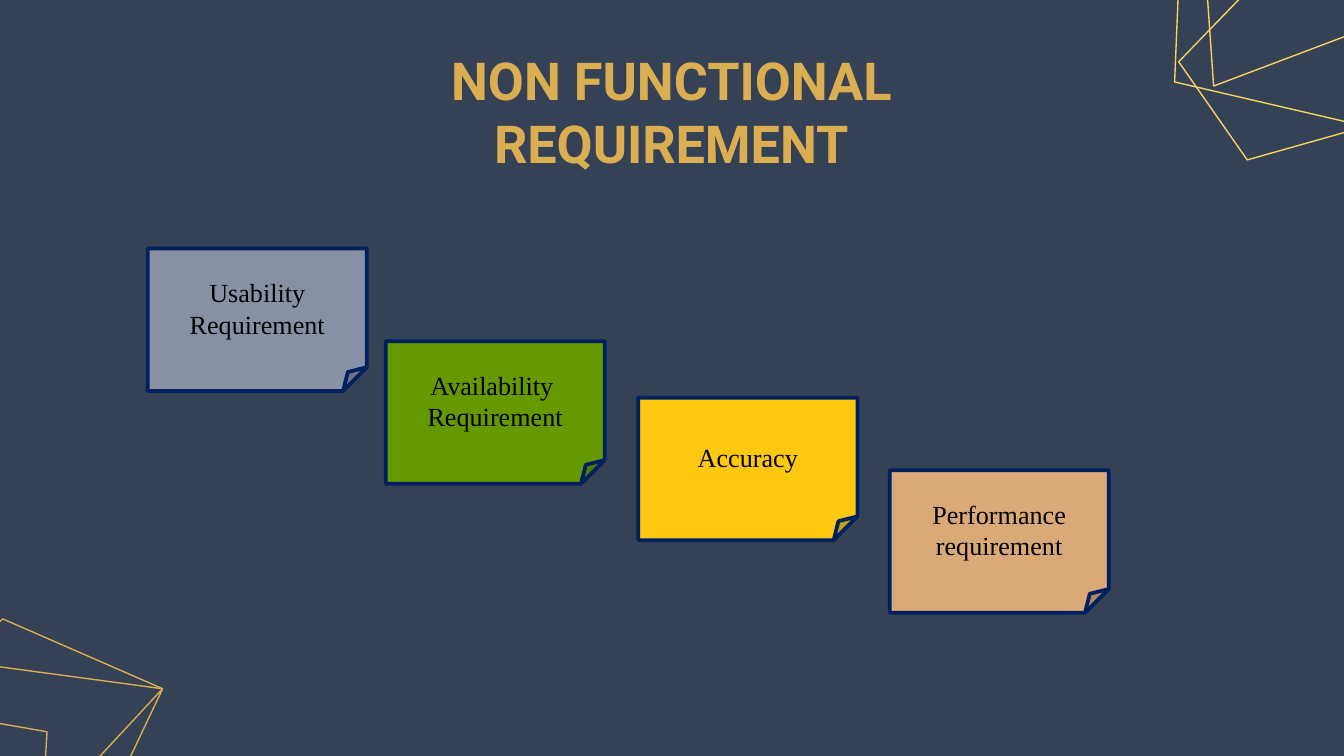
from pptx import Presentation
from pptx.dml.color import RGBColor
from pptx.enum.shapes import MSO_SHAPE
from pptx.enum.text import MSO_ANCHOR, MSO_AUTO_SIZE, PP_ALIGN
from pptx.util import Inches, Pt

FOLDED_CORNER = MSO_SHAPE.FOLDED_CORNER
MIDDLE = MSO_ANCHOR.MIDDLE
CENTER = PP_ALIGN.CENTER
NO_AUTOFIT = MSO_AUTO_SIZE.NONE

WIDTH = Inches(10)
HEIGHT = WIDTH * 9 // 16
UNIT = WIDTH // 100

SLATE = RGBColor(0x35, 0x42, 0x55)
GOLD = RGBColor(0xDC, 0xAE, 0x52)
LIGHT_GOLD = RGBColor(0xF8, 0xD2, 0x64)
NAVY = RGBColor(0x00, 0x20, 0x60)
BLACK = RGBColor(0x00, 0x00, 0x00)
GRAY = RGBColor(0x88, 0x91, 0xA4)
GREEN = RGBColor(0x66, 0x99, 0x00)
YELLOW = RGBColor(0xFF, 0xC8, 0x10)
TAN = RGBColor(0xD9, 0xA9, 0x78)

TITLE_BOX = (21.8, 5.9, 56.3, 4.7)
NOTE_SIZE = (16.3, 10.6)
NOTES = [
    ((11, 18.5), GRAY, ["Usability Requirement"]),
    ((28.7, 25.4), GREEN, ["Availability ", "Requirement"]),
    ((47.5, 29.6), YELLOW, ["Accuracy"]),
    ((66.2, 35), TAN, ["Performance", "requirement"]),
]
TOP_RIGHT_POLYGONS = [
    [(-9.7, 6.4), (-11.3, -16.6), (17.2, -12.7), (12, -1.8)],
    [(-12.6, 6.1), (-12.1, -6), (4.8, -12), (14, -10.6), (13.7, -4.8), (4.2, 10)],
    [(-7.2, 11.9), (-12.3, 4.6), (5.1, -13.4), (18.9, -7.7), (4.5, 8.6)],
]
BOTTOM_LEFT_POLYGONS = [
    [(-19.9, 12.1), (-19.2, 1.6), (-4.5, -3.2), (3.5, -1.8), (3.2, 3.3), (-5.5, 15.9)],
    [(-11, 11.5), (-15.2, 5.1), (0.2, -10.2), (12.1, -5), (-0.8, 8.9)],
    [(-11, 11.5), (-12.4, -8.3), (12.1, -5), (7.6, 4.5)],
]


def scaled(values):
    """Turn hundredths of the slide width into lengths."""
    return [round(value * UNIT) for value in values]


def write_line(para, text, font, size, color, bold=False):
    """Add one centred, formatted run to a paragraph."""
    para.alignment = CENTER
    para.line_spacing = 1.0
    span = para.add_run()
    span.text = text
    span.font.name = font
    span.font.size = Pt(size)
    span.font.bold = bold
    span.font.color.rgb = color


def add_corner_polygons(slide, corner, polygons, color):
    """Draw outlined polygons placed around a corner of the slide."""
    corner_x, corner_y = corner
    for polygon in polygons:
        points = [(corner_x + x, corner_y + y) for x, y in map(scaled, polygon)]
        builder = slide.shapes.build_freeform(*points[0])
        builder.add_line_segments(points[1:], close=True)
        outline = builder.convert_to_shape()
        outline.shadow.inherit = False
        outline.fill.background()
        outline.line.color.rgb = color
        outline.line.width = Pt(0.75)


def add_title(slide, box, text):
    """Place the title placeholder in the given box."""
    title = slide.shapes.title
    title.left, title.top, title.width, title.height = scaled(box)
    frame = title.text_frame
    frame.word_wrap = True
    frame.auto_size = NO_AUTOFIT
    frame.vertical_anchor = MIDDLE
    frame.margin_left = frame.margin_right = Inches(0.1)
    frame.margin_top = frame.margin_bottom = Inches(0.1)
    write_line(frame.paragraphs[0], text, "Roboto", 28, GOLD, bold=True)


def add_note(slide, box, color, lines):
    """Draw a folded-corner note with one paragraph per line."""
    note = slide.shapes.add_shape(FOLDED_CORNER, *scaled(box))
    note.shadow.inherit = False
    note.fill.solid()
    note.fill.fore_color.rgb = color
    note.line.color.rgb = NAVY
    note.line.width = Pt(2)
    frame = note.text_frame
    frame.word_wrap = True
    frame.vertical_anchor = MIDDLE
    for index, text in enumerate(lines):
        para = frame.add_paragraph() if index else frame.paragraphs[0]
        write_line(para, text, "Times New Roman", 14, BLACK)


def main():
    """Build and save the deck."""
    deck = Presentation()
    deck.slide_width, deck.slide_height = WIDTH, HEIGHT
    page = deck.slides.add_slide(deck.slide_layouts.get_by_name("Title Only"))
    page.background.fill.solid()
    page.background.fill.fore_color.rgb = SLATE
    add_corner_polygons(page, (WIDTH, 0), TOP_RIGHT_POLYGONS, LIGHT_GOLD)
    add_corner_polygons(page, (0, HEIGHT), BOTTOM_LEFT_POLYGONS, GOLD)
    add_title(page, TITLE_BOX, "NON FUNCTIONAL REQUIREMENT")
    for position, color, lines in NOTES:
        add_note(page, position + NOTE_SIZE, color, lines)
    deck.save("out.pptx")


if __name__ == "__main__":
    main()
